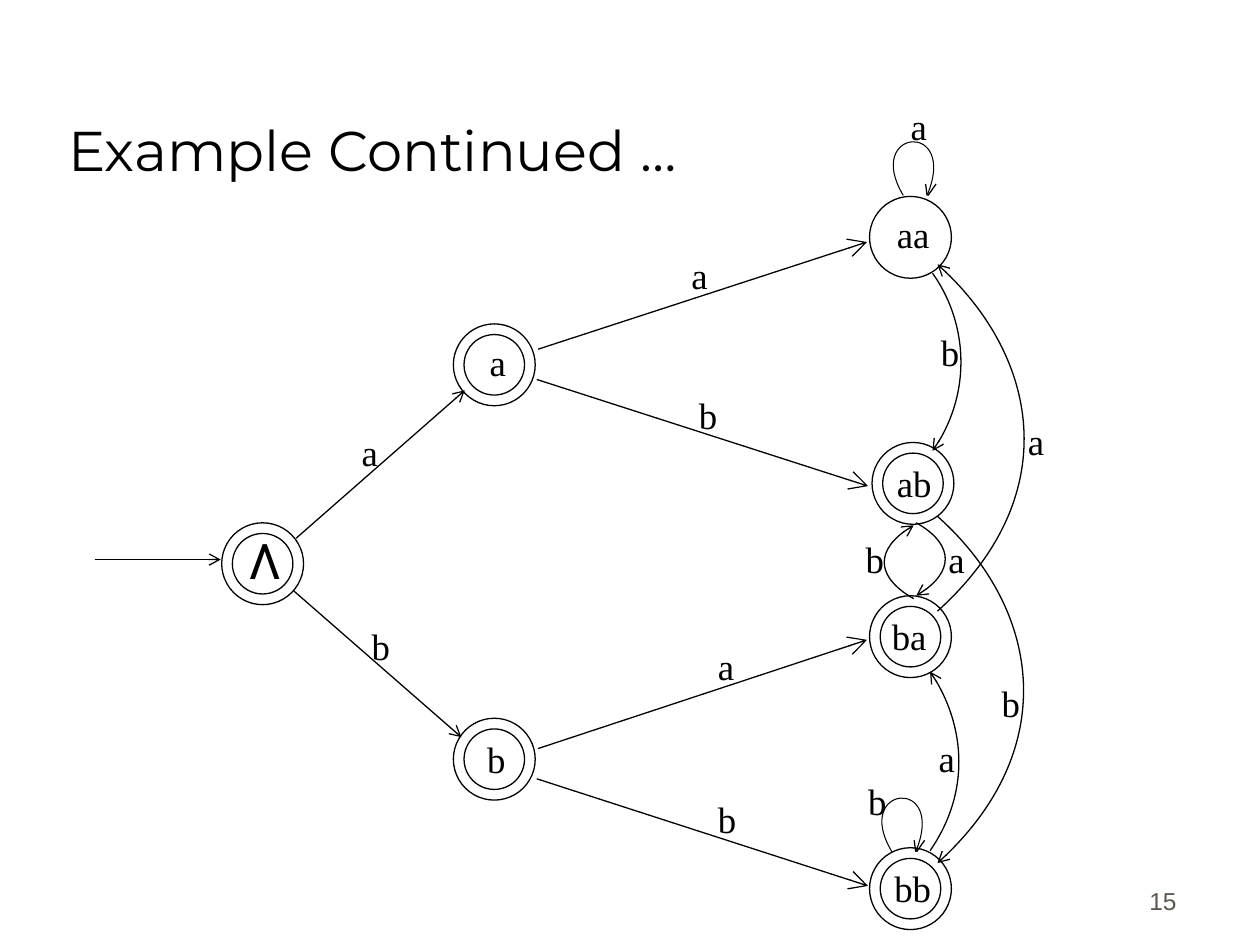
from lxml.etree import SubElement
from pptx import Presentation
from pptx.dml.color import RGBColor
from pptx.enum.shapes import MSO_CONNECTOR, MSO_SHAPE
from pptx.enum.text import MSO_ANCHOR, PP_ALIGN
from pptx.oxml.ns import qn
from pptx.util import Cm, Pt

SERIF = "Times New Roman"
BLACK = "000000"
RING, DISC = 1.65, 1.22  # diameters of outer and inner circles, cm

# name, left, top, text indent, text drop, accepting
STATES = [
    ("a", 9.14, 6.53, 0.48, 0.19, True),
    ("b", 9.14, 14.48, 0.43, 0.25, True),
    ("aa", 17.53, 3.96, 0.3, 0.18, False),
    ("ab", 17.58, 8.92, 0.25, 0.25, True),
    ("ba", 17.53, 12.01, 0.2, 0.23, True),
    ("bb", 17.53, 17.09, 0.25, 0.23, True),
]
# label, label place, start, end
LINES = [
    ("", None, (1.91, 11.28), (4.45, 11.28)),
    ("a", (7.04, 8.53), (5.97, 10.85), (9.37, 7.87)),
    ("b", (7.24, 12.45), (5.92, 11.91), (9.3, 14.86)),
]
FANS = [
    ("a", (13.69, 4.98), (10.85, 7.04), (17.48, 4.88)),
    ("b", (13.84, 7.8), (10.82, 7.65), (17.5, 9.8)),
    ("a", (14.22, 12.85), (10.85, 15.09), (17.48, 12.9)),
    ("b", (14.22, 15.93), (10.82, 15.7), (17.5, 17.86)),
]
# label, label place, four Bezier points
CURVES = [
    ("b", (18.72, 6.53), (18.8, 5.51), (19.46, 6.43), (19.63, 7.92), (18.8, 9.09)),
    ("a", (20.47, 8.31), (18.9, 12.32), (21.44, 10.03), (20.93, 7.14), (18.9, 5.33)),
    ("a", (18.87, 10.69), (18.47, 10.54), (19.15, 10.92), (19.3, 11.53), (18.47, 12.01)),
    ("b", (17.2, 10.69), (18.42, 12.07), (17.73, 11.68), (17.58, 11.07), (18.42, 10.59)),
    ("b", (19.94, 13.59), (18.9, 10.41), (20.93, 12.22), (21.44, 15.11), (18.9, 17.4)),
    ("a", (18.67, 14.71), (18.75, 17.15), (19.58, 15.95), (19.41, 14.48), (18.75, 13.54)),
]
# label, label place, start
LOOPS = [
    ("a", (18.11, 1.96), (18.21, 3.94)),
    ("b", (17.25, 15.57), (17.98, 17.17)),
]
LOOP = [(0, 0), (-0.81, -1.35), (1.12, -1.53), (0.48, 0)]
BARBS = [[(0.5, 0), (0.66, -0.23)], [(0.45, -0.23), (0.48, 0)]]


def color(code):
    return RGBColor.from_string(code)


def style(par, size, name, code=BLACK, align=PP_ALIGN.LEFT):
    par.alignment = align
    par.font.size = Pt(size)
    par.font.name = name
    par.font.color.rgb = color(code)


def text(slide, words, left, top, width=2.49, height=1.73):
    box = slide.shapes.add_textbox(Cm(left), Cm(top), Cm(width), Cm(height))
    box.text_frame.word_wrap = True
    box.text_frame.text = words
    style(box.text_frame.paragraphs[0], 21, SERIF)
    return box.text_frame


def stroke(shape, width=0.75):
    shape.line.color.rgb = color(BLACK)
    shape.line.width = Pt(width)


def arrow(shape, size="med"):
    line = shape._element.spPr.find(qn("a:ln"))
    SubElement(line, qn("a:tailEnd"), type="arrow", w=size, len=size)


def circle(slide, left, top, size):
    oval = slide.shapes.add_shape(
        MSO_SHAPE.OVAL, Cm(left), Cm(top), Cm(size), Cm(size))
    oval.shadow.inherit = False
    oval.fill.solid()
    oval.fill.fore_color.rgb = color("FFFFFF")
    stroke(oval)


def rings(slide, left, top, final=True):
    """Draw a state's circle, doubled if the state accepts."""
    circle(slide, left, top, RING)
    if final:
        gap = (RING - DISC) / 2
        circle(slide, left + gap, top + gap, DISC)


def state(slide, name, left, top, indent, drop, final):
    rings(slide, left, top, final)
    text(slide, name, left + indent, top + drop)


def start(slide, left, top):
    rings(slide, left, top)
    frame = text(slide, "Λ", left + 0.3, top + 0.03, 1.09, 1.45)
    frame.word_wrap = False
    style(frame.paragraphs[0], 28, "Roboto", align=PP_ALIGN.CENTER)


def straight(slide, first, last):
    line = slide.shapes.add_connector(
        MSO_CONNECTOR.STRAIGHT, *(Cm(v) for v in first + last))
    SubElement(line._element.spPr, qn("a:effectLst"))
    stroke(line)
    arrow(line)


def trace(slide, points, width=0.75):
    """Draw an open outline through the points."""
    dots = [(Cm(x), Cm(y)) for x, y in points]
    pen = slide.shapes.build_freeform(*dots[0])
    pen.add_line_segments(dots[1:], close=False)
    shape = pen.convert_to_shape()
    shape.shadow.inherit = False
    shape.fill.background()
    stroke(shape, width)
    return shape


def bend(slide, points, width=0.75):
    """Draw one cubic Bezier curve, its points given as corners."""
    shape = trace(slide, points, width)
    track = shape._element.find(".//" + qn("a:path"))
    legs = track.findall(qn("a:lnTo"))
    cubic = SubElement(track, qn("a:cubicBezTo"))
    for leg in legs:
        cubic.append(leg[0])
        track.remove(leg)
    return shape


def loop(slide, left, top):
    def shift(points):
        return [(left + x, top + y) for x, y in points]

    bend(slide, shift(LOOP), 0.6)
    for barb in BARBS:
        trace(slide, shift(barb))


def graph(slide):
    start(slide, 4.47, 10.54)
    for item in STATES:
        state(slide, *item)
    for label, place, first, last in LINES:
        straight(slide, first, last)
        if label:
            text(slide, label, *place)
    for label, place, *ends in FANS:
        arrow(trace(slide, ends), "lg")
        text(slide, label, *place)
    for label, place, *points in CURVES:
        arrow(bend(slide, points))
        text(slide, label, *place)
    for label, place, spot in LOOPS:
        loop(slide, *spot)
        text(slide, label, *place)


def heading(slide, words, left, top, width, height):
    title = slide.shapes.title
    title.left, title.top = Cm(left), Cm(top)
    title.width, title.height = Cm(width), Cm(height)
    frame = title.text_frame
    frame.text = words
    frame.vertical_anchor = MSO_ANCHOR.BOTTOM
    style(frame.paragraphs[0], 32, "Montserrat")


def number(slide, words, left, top, width, height):
    frame = text(slide, words, left, top, width, height)
    frame.vertical_anchor = MSO_ANCHOR.BOTTOM
    par = frame.paragraphs[0]
    style(par, 14, "Arial", "5E574E", PP_ALIGN.RIGHT)
    par.space_before = Pt(8.8)


def main():
    deck = Presentation()
    deck.slide_width, deck.slide_height = Cm(25.4), Cm(19.05)
    slide = deck.slides.add_slide(deck.slide_layouts[5])
    heading(slide, "Example Continued …", 1.12, 0.64, 21.59, 3.18)
    graph(slide)
    number(slide, "15", 18.69, 17.3, 5.28, 1.27)
    deck.save("out.pptx")


if __name__ == "__main__":
    main()
